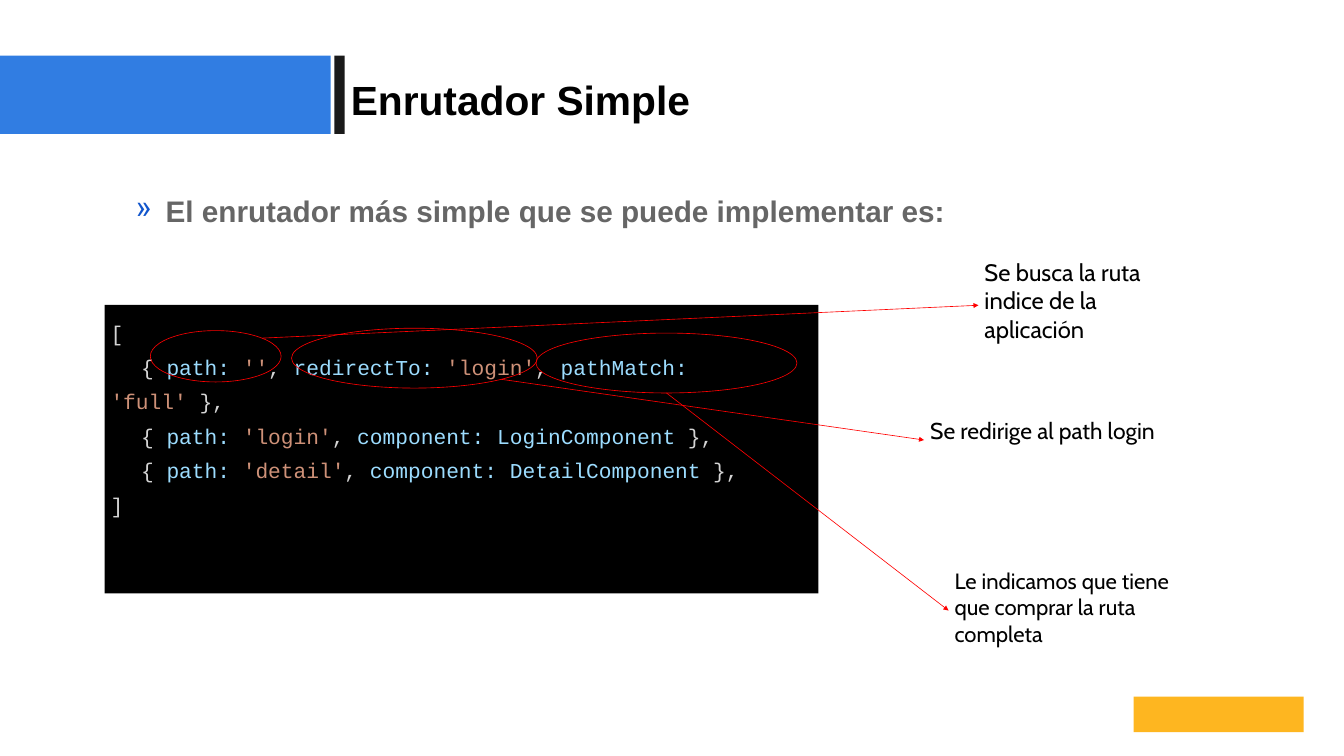
import math

from lxml import etree
from pptx import Presentation
from pptx import util as u
from pptx.dml.color import RGBColor
from pptx.enum import shapes, text
from pptx.oxml.ns import qn

PX = 9144  # EMU; 100 px to the inch
SLIDE = (2199, 1237)

COLOURS = {
    "blue": "317DE2", "dark": "1A1A1A", "amber": "FEB620", "black": "000000",
    "grey": "666666", "bullet": "1155CC", "red": "FF0000",
    "mark": "D4D4D4", "name": "9CDCFE", "string": "CE9178",
}

# Places are left, top, width, height
BANDS = [
    ((0, 91, 541, 128), "blue"),
    ((547, 91, 17, 128), "dark"),
    ((1855, 1140, 278, 58), "amber"),
]
TITLE = ("Enrutador Simple", (574, 122, 756, 81))
LEAD = ("El enrutador más simple que se puede implementar es:", (221, 297, 1694, 69))
CODE_PLACE = (171, 499, 1168, 472)
INDENT = 50

# Each line: indent, then (kind, words)
CODE = [
    (0, [("mark", "[")]),
    (INDENT, [("mark", "{ "), ("name", "path: "), ("string", "''"), ("mark", ", "),
              ("name", "redirectTo: "), ("string", "'login'"), ("mark", ", "),
              ("name", "pathMatch: "), ("string", "'full'"), ("mark", " },")]),
    (INDENT, [("mark", "{ "), ("name", "path: "), ("string", "'login'"), ("mark", ", "),
              ("name", "component: LoginComponent"), ("mark", " },")]),
    (INDENT, [("mark", "{ "), ("name", "path: "), ("string", "'detail'"), ("mark", ", "),
              ("name", "component: DetailComponent"), ("mark", " },")]),
    (0, [("mark", "]")]),
]

# Note, its place and size, the ellipse it explains, and the angle the arrow leaves at
NOTES = [
    ("Se busca la ruta indice de la aplicación", (1601, 411, 354, 177), 28,
     (246, 541, 214, 84), -45),
    ("Se redirige al path login", (1512, 671, 402, 98), 27,
     (477, 537, 402, 98), 45),
    ("Le indicamos que tiene que comprar la ruta completa", (1552, 918, 402, 162), 26,
     (877, 545, 427, 98), 90),
]


def emu(place):
    return [round(px * PX) for px in place]


def rgb(colour):
    return RGBColor.from_string(COLOURS[colour])


def add_panel(page, place, fill=None, line=None, kind=shapes.MSO_SHAPE.RECTANGLE):
    panel = page.shapes.add_shape(kind, *emu(place))
    panel.shadow.inherit = False
    if fill:
        panel.fill.solid()
        panel.fill.fore_color.rgb = rgb(fill)
    else:
        panel.fill.background()
    if line:
        panel.line.color.rgb = rgb(line)
        panel.line.width = u.Pt(0.75)
    else:
        panel.line.fill.background()
    return panel


def set_frame(box, inset=(10, 10, 10, 10), grow=False):
    """Wrap the text from the top left, with insets left, top, right, bottom."""
    frame = box.text_frame
    frame.word_wrap = True
    frame.vertical_anchor = text.MSO_ANCHOR.TOP
    frame.auto_size = (text.MSO_AUTO_SIZE.SHAPE_TO_FIT_TEXT if grow
                       else text.MSO_AUTO_SIZE.NONE)
    (frame.margin_left, frame.margin_top,
     frame.margin_right, frame.margin_bottom) = emu(inset)
    return frame


def add_span(para, words, size, font, colour="black", bold=False):
    span = para.add_run()
    span.text = words
    span.font.size = u.Pt(size)
    span.font.name = font
    span.font.bold = bold
    span.font.color.rgb = rgb(colour)


def add_text(page, words, place, inset=(10, 10, 10, 10), grow=False, **style):
    box = page.shapes.add_textbox(*emu(place))
    para = set_frame(box, inset, grow).paragraphs[0]
    add_span(para, words, **style)
    return box


def add_bullet(para, mark, colour, left, hang):
    props = para._p.get_or_add_pPr()
    props.set("marL", str(left * PX))
    props.set("indent", str(-hang * PX))
    tint = etree.SubElement(props, qn("a:buClr"))
    etree.SubElement(tint, qn("a:srgbClr"), val=COLOURS[colour])
    etree.SubElement(props, qn("a:buChar"), char=mark)


def add_lead(page):
    words, place = LEAD
    box = add_text(page, words, place, inset=(0, 10, 0, 0), grow=True,
                   size=35, font="Arial", colour="grey", bold=True)
    para = box.text_frame.paragraphs[0]
    para.alignment = text.PP_ALIGN.JUSTIFY
    para.line_spacing = 1.15
    para.space_before = para.space_after = u.Pt(10)
    add_bullet(para, "»", "bullet", left=50, hang=49)


def add_code(page):
    frame = set_frame(add_panel(page, CODE_PLACE, fill="black"))
    for number, (indent, tokens) in enumerate(CODE):
        para = frame.add_paragraph() if number else frame.paragraphs[0]
        para.alignment = text.PP_ALIGN.LEFT
        para.line_spacing = 1.35
        para._p.get_or_add_pPr().set("indent", str(indent * PX))
        for kind, words in tokens:
            add_span(para, words, 25, "Courier New", kind)


def rim_point(place, angle):
    """Point on an ellipse, the angle running clockwise from its right side."""
    left, top, width, height = place
    turn = math.radians(angle)
    return (left + width / 2 * (1 + math.cos(turn)),
            top + height / 2 * (1 + math.sin(turn)))


def add_arrow(page, start, note):
    begin = emu(start)
    arrow = page.shapes.add_connector(shapes.MSO_CONNECTOR.STRAIGHT, *begin, *begin)
    arrow.end_connect(note, 1)
    arrow.line.color.rgb = rgb("red")
    arrow.line.width = u.Pt(0.75)
    etree.SubElement(arrow.line._get_or_add_ln(), qn("a:tailEnd"), type="triangle")
    etree.SubElement(arrow._element.spPr, qn("a:effectLst"))


def main():
    deck = Presentation()
    deck.slide_width, deck.slide_height = emu(SLIDE)
    page = deck.slides.add_slide(deck.slide_layouts[6])
    for place, colour in BANDS:
        add_panel(page, place, fill=colour)
    add_lead(page)
    add_code(page)
    for words, place, size, target, angle in NOTES:
        add_panel(page, target, line="red", kind=shapes.MSO_SHAPE.OVAL)
        note = add_text(page, words, place, size=size, font="Cabin")
        add_arrow(page, rim_point(target, angle), note)
    words, place = TITLE
    add_text(page, words, place, inset=(0, 0, 0, 0), grow=True,
             size=48, font="Arial", bold=True)
    deck.save("out.pptx")


if __name__ == "__main__":
    main()
